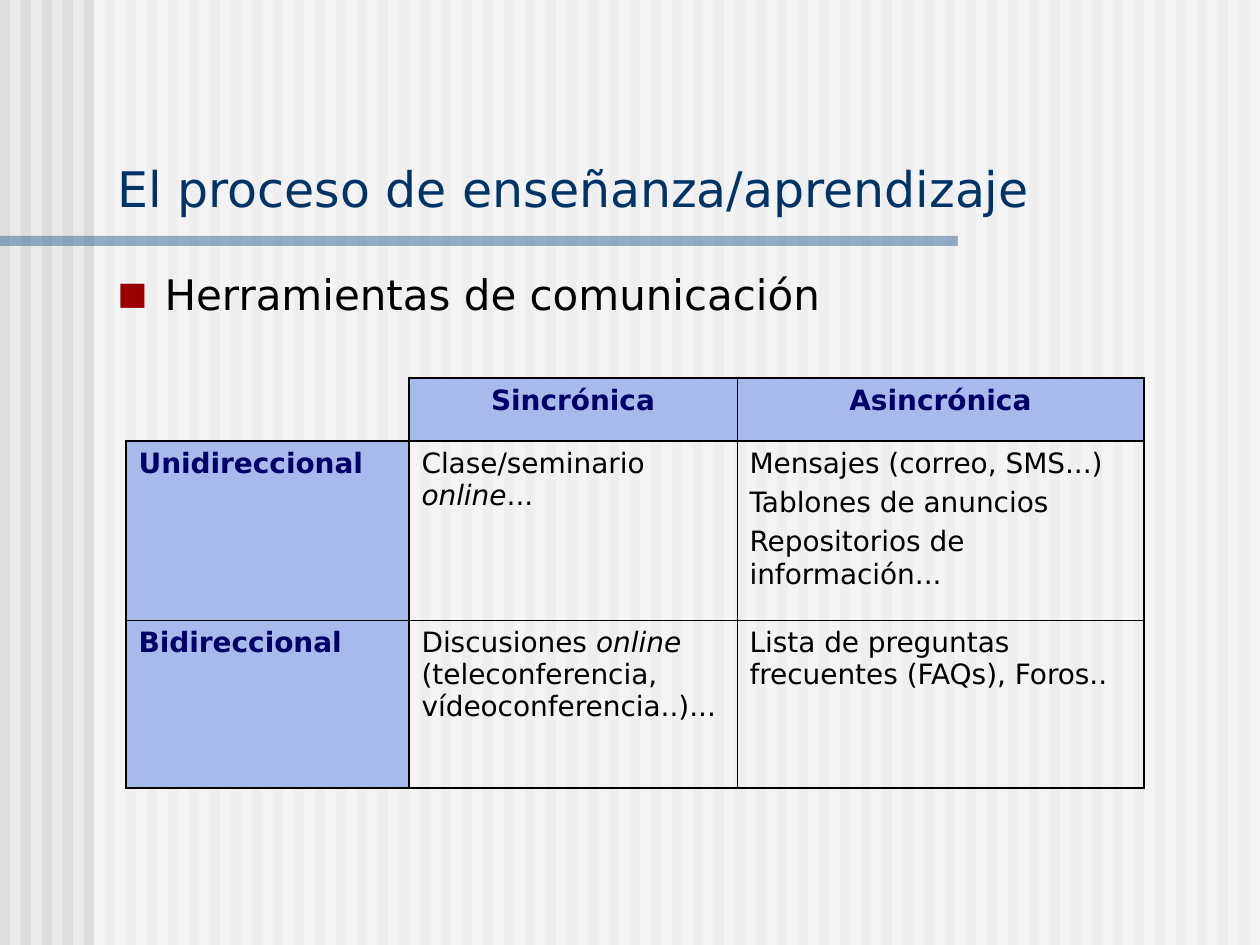
from lxml.etree import SubElement
from pptx import Presentation
from pptx.dml.color import RGBColor
from pptx.enum.shapes import MSO_SHAPE
from pptx.enum.text import MSO_ANCHOR, MSO_AUTO_SIZE, PP_ALIGN
from pptx.oxml.ns import qn
from pptx.util import Emu, Pt

FONT = "DejaVu Sans"
COLORS = {
    "background": "EAEAEA",
    "stripe": "DDDDDD",
    "veil": "FFFFFF",
    "rule": "336699",
    "title": "003366",
    "bullet": "9A0000",
    "text": "000000",
    "heading": "000066",
    "heading_fill": "A8BAEC",
    "border": "000000",
}
COLUMN_WIDTHS = [283, 328, 407]
ROW_HEIGHTS = [63, 179, 168]
THICK, THIN = 1.08, 0.45
EDGE_WIDTHS = [THICK, THICK, THIN, THICK]
CELLS = [
    [[], [["Sincrónica"]], [["Asincrónica"]]],
    [
        [["Unidireccional"]],
        [["Clase/seminario ", "online", "..."]],
        [["Mensajes (correo, SMS...)"], ["Tablones de anuncios"],
         ["Repositorios de información..."]],
    ],
    [
        [["Bidireccional"]],
        [["Discusiones ", "online", " (teleconferencia, vídeoconferencia..)..."]],
        [["Lista de preguntas frecuentes (FAQs), Foros.."]],
    ],
]


def px(length):
    return Emu(round(length * 914400 / 126))


def color(name):
    return RGBColor.from_string(COLORS[name])


def set_attributes(target, values):
    for name, value in values.items():
        setattr(target, name, value)


def place(shape, left, top, width, height):
    set_attributes(shape, {"left": px(left), "top": px(top),
                           "width": px(width), "height": px(height)})


def add_span(para, text, size, fill, **formats):
    span = para.add_run()
    span.text = text
    set_attributes(span.font, {"name": FONT, "size": Pt(size), **formats})
    span.font.color.rgb = color(fill)


def add_block(page, left, top, width, height, fill, opacity=100):
    block = page.shapes.add_shape(
        MSO_SHAPE.RECTANGLE, px(left), px(top), px(width), px(height))
    block.shadow.inherit = False
    block.fill.solid()
    block.fill.fore_color.rgb = color(fill)
    block.line.fill.background()
    if opacity < 100:
        tint = block._element.spPr.find(".//" + qn("a:srgbClr"))
        SubElement(tint, qn("a:alpha"), val=str(opacity * 1000))


def add_backdrop(page):
    page.background.fill.solid()
    page.background.fill.fore_color.rgb = color("background")
    for left in range(0, 1260, 21):
        add_block(page, left, 0, 10, 945, "stripe")
    add_block(page, 94, 0, 1166, 945, "veil", 50)
    add_block(page, 0, 236, 958, 10, "rule", 50)


def bring_to_front(page, shape):
    page.shapes._spTree.append(shape._element)


def fill_title(page, text):
    title = page.shapes.title
    bring_to_front(page, title)
    place(title, 105, 152, 1125, 72)
    set_attributes(title.text_frame, {
        "vertical_anchor": MSO_ANCHOR.BOTTOM,
        "auto_size": MSO_AUTO_SIZE.SHAPE_TO_FIT_TEXT, "word_wrap": True})
    para = title.text_frame.paragraphs[0]
    para.alignment = PP_ALIGN.LEFT
    add_span(para, text, 28, "title")


def add_bullet(para):
    properties = para._p.get_or_add_pPr()
    properties.set("marL", str(px(47)))
    properties.set("indent", str(-px(47)))
    tint = SubElement(properties, qn("a:buClr"))
    SubElement(tint, qn("a:srgbClr"), val=COLORS["bullet"])
    SubElement(properties, qn("a:buSzPct"), val="75000")
    SubElement(properties, qn("a:buFont"), typeface=FONT)
    SubElement(properties, qn("a:buChar"), char="■")


def fill_body(page, text):
    body = page.placeholders[1]
    bring_to_front(page, body)
    place(body, 105, 262, 1118, 577)
    body.text_frame.auto_size = MSO_AUTO_SIZE.NONE
    para = body.text_frame.paragraphs[0]
    para.space_before = Pt(6)
    add_bullet(para)
    add_span(para, text, 24, "text")


def set_borders(cell, row, column):
    widths = {
        "a:lnL": EDGE_WIDTHS[column],
        "a:lnR": EDGE_WIDTHS[column + 1],
        "a:lnT": EDGE_WIDTHS[row],
        "a:lnB": EDGE_WIDTHS[row + 1],
    }
    corner = row == column == 0
    properties = cell._tc.get_or_add_tcPr()
    for side, width in widths.items():
        line = SubElement(properties, qn(side), w=str(Pt(width)))
        if corner and side in ("a:lnL", "a:lnT"):
            SubElement(line, qn("a:noFill"))
        else:
            paint = SubElement(line, qn("a:solidFill"))
            SubElement(paint, qn("a:srgbClr"), val=COLORS["border"])


def fill_cell(cell, row, column, paragraphs):
    heading = (row == 0) != (column == 0)
    set_borders(cell, row, column)
    if heading:
        cell.fill.solid()
        cell.fill.fore_color.rgb = color("heading_fill")
    else:
        cell.fill.background()
    frame = cell.text_frame
    for number, spans in enumerate(paragraphs):
        para = frame.add_paragraph() if number else frame.paragraphs[0]
        para.space_before = Pt(4)
        para.alignment = PP_ALIGN.CENTER if row == 0 else PP_ALIGN.LEFT
        for index, text in enumerate(spans):
            add_span(para, text, 16, "heading" if heading else "text",
                     bold=heading, italic=index % 2 == 1)


def add_tools_table(page):
    frame = page.shapes.add_table(
        len(ROW_HEIGHTS), len(COLUMN_WIDTHS), px(126), px(378),
        px(sum(COLUMN_WIDTHS)), px(sum(ROW_HEIGHTS)))
    table = frame.table
    set_attributes(table, {"first_row": False, "horz_banding": False})
    for column, width in zip(table.columns, COLUMN_WIDTHS):
        column.width = px(width)
    for row, height in zip(table.rows, ROW_HEIGHTS):
        row.height = px(height)
    for row, contents in enumerate(CELLS):
        for column, paragraphs in enumerate(contents):
            fill_cell(table.cell(row, column), row, column, paragraphs)


def main():
    deck = Presentation()
    set_attributes(deck, {"slide_width": px(1260), "slide_height": px(945)})
    page = deck.slides.add_slide(deck.slide_layouts[1])
    add_backdrop(page)
    fill_title(page, "El proceso de enseñanza/aprendizaje")
    fill_body(page, "Herramientas de comunicación")
    add_tools_table(page)
    deck.save("out.pptx")


if __name__ == "__main__":
    main()
